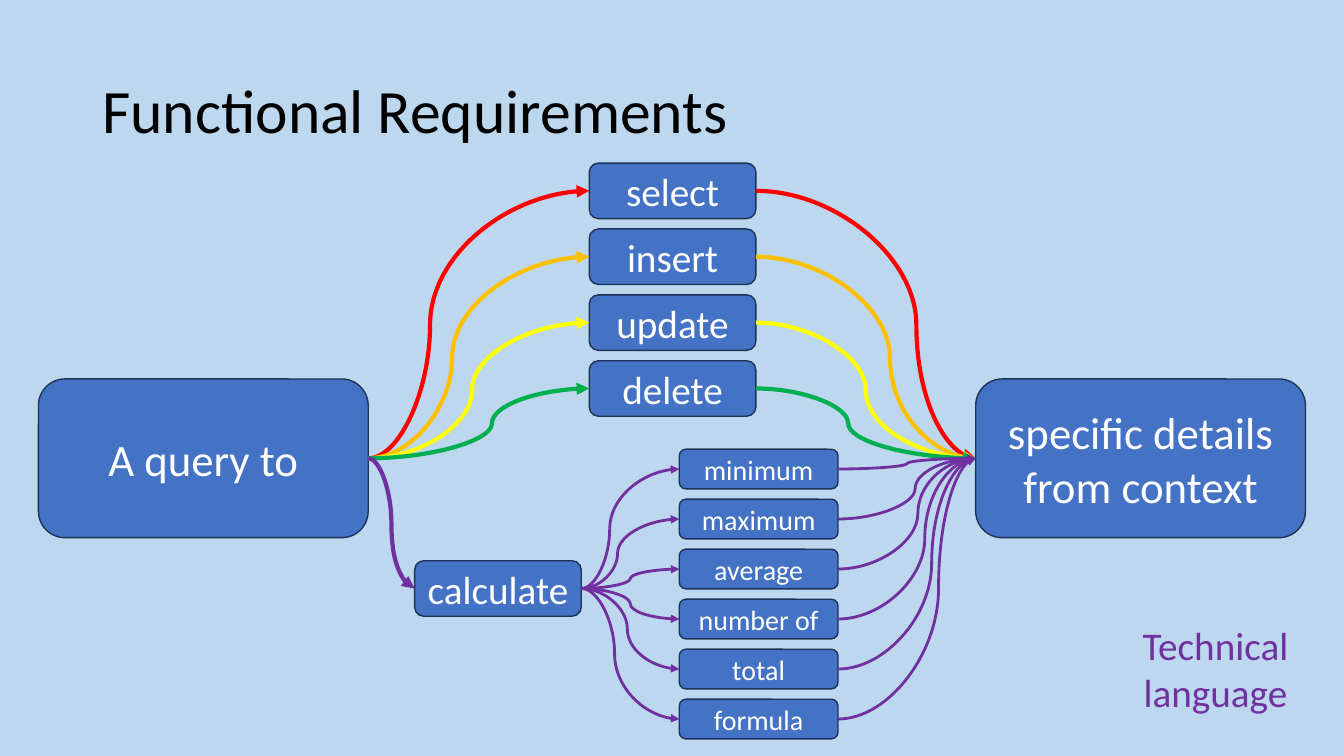
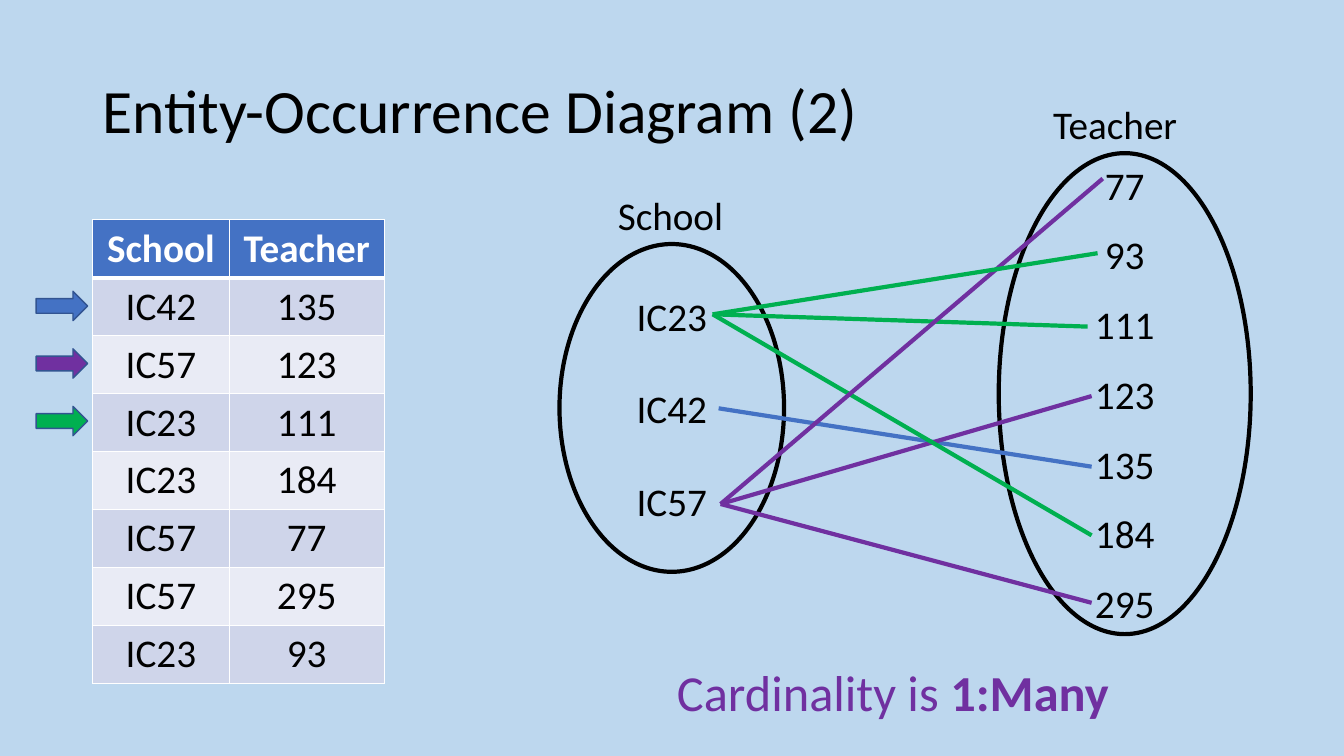
from lxml.etree import SubElement
from pptx import Presentation
from pptx.dml.color import RGBColor
from pptx.enum.shapes import MSO_CONNECTOR, MSO_SHAPE
from pptx.enum.text import MSO_ANCHOR, PP_ALIGN
from pptx.oxml.ns import qn
from pptx.util import Cm, Pt

COLORS = {
    "background": "BDD7EE", "black": "000000", "white": "FFFFFF",
    "blue": "4472C4", "box edge": "1E3256", "arrow edge": "325491",
    "odd row": "CFD5EA", "even row": "E9EBF5",
    "red": "FF0000", "orange": "FFC000", "yellow": "FFFF00",
    "green": "00B050", "purple": "7030A0",
}
RGB = {name: RGBColor.from_string(value) for name, value in COLORS.items()}
FONT = "Calibri"


def write(frame, text, size=28, color="black", bold=False, bold_end="",
          align=PP_ALIGN.LEFT, anchor=MSO_ANCHOR.TOP, wrap=True,
          margin=0.25, gap=0, spacing=None):
    """Fill a text frame; each line of the text is a paragraph."""
    frame.word_wrap = wrap
    frame.vertical_anchor = anchor
    frame.margin_left = frame.margin_right = Cm(margin)
    for index, line in enumerate(text.split("\n")):
        paragraph = frame.add_paragraph() if index else frame.paragraphs[0]
        paragraph.alignment = align
        paragraph.line_spacing = spacing
        paragraph.space_before = Pt(gap if index else 0)
        for words, heavy in ((line, bold), (bold_end, True)):
            if words:
                run = paragraph.add_run()
                run.text = words
                run.font.name = FONT
                run.font.size = Pt(size)
                run.font.bold = heavy
                run.font.color.rgb = RGB[color]


def style(shape, line, width, fill=None):
    """Set outline and fill, and remove the shadow."""
    shape.line.color.rgb = RGB[line]
    shape.line.width = Pt(width)
    if shape._element.tag == qn("p:cxnSp"):
        SubElement(shape._element.spPr, qn("a:effectLst"))
        return
    shape.shadow.inherit = False
    if fill:
        shape.fill.solid()
        shape.fill.fore_color.rgb = RGB[fill]
    else:
        shape.fill.background()


prs = Presentation()
prs.slide_width, prs.slide_height = Cm(33.87), Cm(19.05)
backdrop = prs.slide_master.background.fill
backdrop.solid()
backdrop.fore_color.rgb = RGB["background"]

# Slides with their titles
slides = []
for heading in ("Functional Requirements", "Entity-Occurrence Diagram (2)"):
    slide = prs.slides.add_slide(prs.slide_layouts[6])
    title = slide.shapes.add_textbox(Cm(2.33), Cm(1.01), Cm(29.21), Cm(3.68))
    write(title.text_frame, heading, size=44, anchor=MSO_ANCHOR.MIDDLE, spacing=0.9)
    slides.append(slide)
requirements, occurrence = slides

# Requirements: name, colour, bend of the curve in and of the curve out
commands = [
    ("select", "red", 0.28, 0.73),
    ("insert", "orange", 0.38, 0.61),
    ("update", "yellow", 0.47, 0.5),
    ("delete", "green", 0.56, 0.42),
]
calculations = [
    ("minimum", 0.29, 0.5),
    ("maximum", 0.37, 0.56),
    ("average", 0.5, 0.58),
    ("number of", 0.5, 0.63),
    ("total", 0.47, 0.68),
    ("formula", 0.34, 0.73),
]

# Boxes: text, left, top, width, height, text size
query, details = "A query to", "specific details from context"
box_specs = [
    (query, 0.97, 9.55, 8.31, 4, 32),
    (details, 24.59, 9.55, 8.31, 4, 32),
    ("calculate", 10.45, 14.13, 4.2, 1.4, 28),
]
for row, (name, *_) in enumerate(commands):
    box_specs.append((name, 14.85, 4.11 + 1.66 * row, 4.2, 1.4, 28))
for row, (name, *_) in enumerate(calculations):
    box_specs.append((name, 17.12, 11.32 + 1.26 * row, 4, 1, 20))

boxes = {}
for name, left, top, width, height, size in box_specs:
    box = requirements.shapes.add_shape(
        MSO_SHAPE.ROUNDED_RECTANGLE, Cm(left), Cm(top), Cm(width), Cm(height))
    style(box, "box edge", 1, "blue")
    write(box.text_frame, name, size=size, color="white", margin=0.1,
          align=PP_ALIGN.CENTER, anchor=MSO_ANCHOR.MIDDLE)
    boxes[name] = box

# Curved arrows: start, end, colour, width, bend
curves = []
for name, color, bend_in, bend_out in commands:
    curves += [(query, name, color, 3, bend_in), (name, details, color, 3, bend_out)]
curves.append((query, "calculate", "purple", 3, 0.5))
for name, bend_in, bend_out in calculations:
    curves += [("calculate", name, "purple", 2, bend_in),
               (name, details, "purple", 2, bend_out)]

RIGHT_SIDE, LEFT_SIDE = 3, 1
for start, end, color, width, bend in curves:
    curve = requirements.shapes.add_connector(MSO_CONNECTOR.CURVE, 0, 0, 0, 0)
    curve.begin_connect(boxes[start], RIGHT_SIDE)
    curve.end_connect(boxes[end], LEFT_SIDE)
    style(curve, color, width)
    properties = curve._element.spPr
    SubElement(properties.find(qn("a:ln")), qn("a:tailEnd"), type="triangle")
    adjustments = properties.find(qn("a:prstGeom")).find(qn("a:avLst"))
    SubElement(adjustments, qn("a:gd"), name="adj1", fmla=f"val {round(bend * 100000)}")

remark = requirements.shapes.add_textbox(Cm(28.37), Cm(15.54), Cm(4.52), Cm(2.64))
write(remark.text_frame, "Technical language", color="purple", align=PP_ALIGN.CENTER)

# Occurrence table
records = [("IC42", "135"), ("IC57", "123"), ("IC23", "111"), ("IC23", "184"),
           ("IC57", "77"), ("IC57", "295"), ("IC23", "93")]
table_rows = [("School", "Teacher"), *records]
table = occurrence.shapes.add_table(
    len(table_rows), 2, Cm(2.33), Cm(5.54), Cm(7.35), Cm(1.46 * len(table_rows))).table
table.columns[0].width, table.columns[1].width = Cm(3.45), Cm(3.9)
for row, values in enumerate(table_rows):
    header = row == 0
    for column, value in enumerate(values):
        cell = table.cell(row, column)
        write(cell.text_frame, value, color="white" if header else "black",
              bold=header, align=PP_ALIGN.CENTER)
        cell.vertical_anchor = MSO_ANCHOR.MIDDLE
        for side in ("L", "R", "T", "B"):
            thick = (side == "B" and row == 0) or (side == "T" and row == 1)
            border = SubElement(cell._tc.get_or_add_tcPr(), qn(f"a:ln{side}"),
                                w=str(Pt(3 if thick else 1)))
            SubElement(SubElement(border, qn("a:solidFill")), qn("a:srgbClr"),
                       val=COLORS["white"])
        cell.fill.solid()
        cell.fill.fore_color.rgb = RGB[
            "blue" if header else "odd row" if row % 2 else "even row"]

# Entity ovals: label and its place, oval place and size, members, gap
schools = ["IC23", "IC42", "IC57"]
teachers = ["77", "93", "111", "123", "135", "184", "295"]
entities = [
    ("School", 15.32, 4.7, 14.1, 6.15, 5.66, 8.26, schools, 32.5),
    ("Teacher", 26.29, 2.41, 25.17, 3.86, 6.35, 12.12, teachers, 16.2),
]
for entity, label_left, label_top, left, top, width, height, members, gap in entities:
    oval = occurrence.shapes.add_shape(
        MSO_SHAPE.OVAL, Cm(left), Cm(top), Cm(width), Cm(height))
    style(oval, "black", 3)
    write(oval.text_frame, "\n".join(members), gap=gap,
          align=PP_ALIGN.CENTER, anchor=MSO_ANCHOR.MIDDLE)
    label = occurrence.shapes.add_textbox(
        Cm(label_left), Cm(label_top), Cm(4.1), Cm(1.45))
    write(label.text_frame, entity)

# One line per record, in the colour of its school
school_colors = {"IC42": "blue", "IC57": "purple", "IC23": "green"}
school_ends = {"IC23": (17.96, 7.92), "IC42": (18.11, 10.29), "IC57": (18.16, 12.7)}
teacher_ends = {
    "77": (27.79, 4.5), "93": (27.66, 6.38), "111": (27.41, 8.23), "123": (27.51, 9.98),
    "135": (27.51, 11.76), "184": (27.51, 13.49), "295": (27.51, 15.19),
}
for school, teacher in records:
    points = [Cm(value) for value in school_ends[school] + teacher_ends[teacher]]
    link = occurrence.shapes.add_connector(MSO_CONNECTOR.STRAIGHT, *points)
    style(link, school_colors[school], 3)

# Arrows beside the first rows
for row, color in enumerate(school_colors.values()):
    pointer = occurrence.shapes.add_shape(
        MSO_SHAPE.RIGHT_ARROW, Cm(0.91), Cm(7.34 + 1.45 * row), Cm(1.3), Cm(0.74))
    style(pointer, "arrow edge", 1, color)

conclusion = occurrence.shapes.add_textbox(Cm(16.81), Cm(16.54), Cm(12), Cm(1.8))
write(conclusion.text_frame, "Cardinality is ", size=36, color="purple", bold_end="1:Many")

prs.save("out.pptx")
